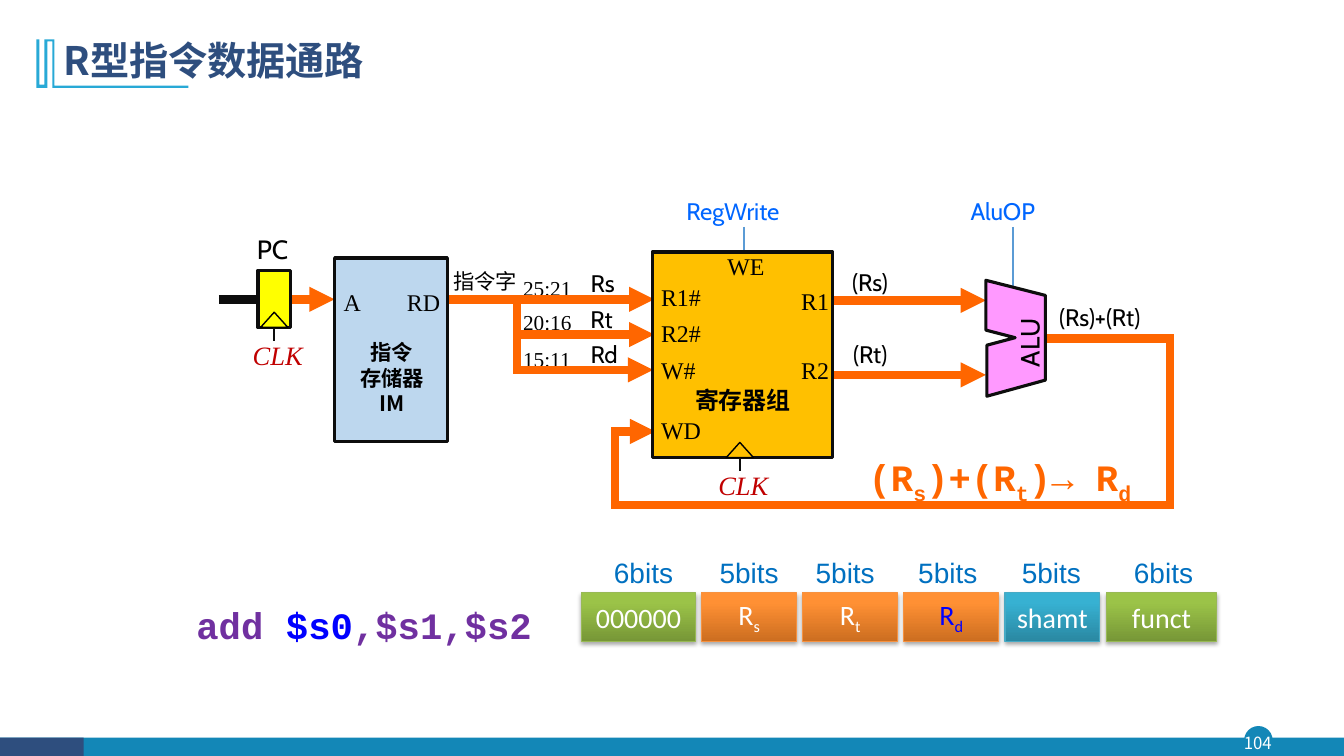
from itertools import pairwise

from lxml.etree import SubElement
from pptx import Presentation
from pptx.dml.color import RGBColor
from pptx.enum.shapes import MSO_CONNECTOR, MSO_SHAPE
from pptx.enum.text import MSO_ANCHOR, MSO_AUTO_SIZE, PP_ALIGN
from pptx.oxml.ns import qn
from pptx.util import Pt

WHITE = RGBColor(0xFF, 0xFF, 0xFF)
BLACK = RGBColor(0, 0, 0)
INK = RGBColor(0x0D, 0x0D, 0x0D)
TEAL = RGBColor(0x13, 0x87, 0xB7)
NAVY = RGBColor(0x2E, 0x4E, 0x7E)
SKY = RGBColor(0x28, 0xA9, 0xD6)
ORANGE = RGBColor(0xFF, 0x66, 0x00)
YELLOW = RGBColor(0xFF, 0xFF, 0x00)
AMBER = RGBColor(0xFF, 0xC0, 0x00)
PALE_BLUE = RGBColor(0xBD, 0xD7, 0xEE)
PINK = RGBColor(0xFF, 0x99, 0xFF)
CLOCK_RED = RGBColor(0xC0, 0x00, 0x00)
CONTROL_BLUE = RGBColor(0x00, 0x66, 0xFF)
CONTROL_LINE = RGBColor(0x5B, 0x9B, 0xD5)
BITS_BLUE = RGBColor(0x00, 0x70, 0xC0)
PURE_BLUE = RGBColor(0x00, 0x00, 0xFF)
PURPLE = RGBColor(0x70, 0x30, 0xA0)
GREEN_CELL = (RGBColor(0x77, 0x97, 0x37), RGBColor(0x9B, 0xC3, 0x48), RGBColor(0x98, 0xB9, 0x55))
ORANGE_CELL = (RGBColor(0xCC, 0x6E, 0x20), RGBColor(0xFF, 0x90, 0x34), RGBColor(0xF6, 0x92, 0x40))
TEAL_CELL = (RGBColor(0x2A, 0x88, 0xA2), RGBColor(0x37, 0xB1, 0xD2), RGBColor(0x46, 0xAA, 0xC5))

CJK = "Noto Sans CJK SC"
TITLE = {"name": CJK, "size": Pt(28), "bold": True}
PAGE = {"name": CJK, "size": Pt(12)}
UNIT = {"name": CJK, "size": Pt(17.1), "bold": True}
MEMORY = {"name": CJK, "size": Pt(15.2), "bold": True}
WORD = {"name": CJK, "size": Pt(15.2)}
PIN = {"name": "Times New Roman", "size": Pt(17.1)}
RANGE = {"name": "Times New Roman", "size": Pt(15.2)}
CLOCK = {"name": "Times New Roman", "size": Pt(18.9), "italic": True}
BIG = {"name": "Cabin", "size": Pt(18.9)}
SIGNAL = {"name": "Cabin", "size": Pt(17.1)}
CODE = {"name": "Courier New", "size": Pt(26.6), "bold": True}
FIELD = {"name": "Calibri", "size": Pt(20)}
BITS = {"name": "Arial", "size": Pt(20)}


def write(paragraph, runs, style):
    """Add (text, colour, is_subscript) runs in one style."""
    for words, colour, is_subscript in runs:
        run = paragraph.add_run()
        run.text = words
        for key, value in style.items():
            setattr(run.font, key, value)
        run.font.color.rgb = colour
        properties = run._r.get_or_add_rPr()
        SubElement(properties, qn("a:ea")).set("typeface", style["name"])
        if is_subscript:
            properties.set("baseline", "-25000")


def label(slide, box, lines, style, colour=BLACK, align=PP_ALIGN.LEFT, spacing=None, **frame_values):
    """Place text, given as a string or as lists of runs, in a box."""
    if isinstance(lines, str):
        lines = [[(line, colour, False)] for line in lines.split("\n")]
    holder = slide.shapes.add_textbox(*map(Pt, box))
    frame = holder.text_frame
    values = {"word_wrap": False, "auto_size": MSO_AUTO_SIZE.SHAPE_TO_FIT_TEXT} | frame_values
    for key, value in values.items():
        setattr(frame, key, value)
    for index, runs in enumerate(lines):
        paragraph = frame.add_paragraph() if index else frame.paragraphs[0]
        paragraph.alignment = align
        paragraph.line_spacing = spacing
        write(paragraph, runs, style)
    return holder


def paint(shape, fill, line=None, weight=2.25):
    """Give a shape a flat fill and an optional outline."""
    shape.shadow.inherit = False
    shape.fill.solid()
    shape.fill.fore_color.rgb = fill
    if line is None:
        shape.line.fill.background()
    else:
        shape.line.color.rgb = line
        shape.line.width = Pt(weight)


def block(slide, kind, box, fill, line=None, weight=2.25):
    """Draw a painted preset shape."""
    paint(slide.shapes.add_shape(kind, *map(Pt, box)), fill, line, weight)


def outline(slide, left, top, points, fill, line=None):
    """Draw a closed freeform from offsets to a corner."""
    corners = [(Pt(left + x), Pt(top + y)) for x, y in points]
    builder = slide.shapes.build_freeform(*corners[0])
    builder.add_line_segments(corners[1:])
    paint(builder.convert_to_shape(), fill, line)


def wire(slide, points, colour=ORANGE, weight=6, arrow=False):
    """Join points with straight lines, the last one with an optional arrowhead."""
    segments = list(pairwise(points))
    for index, (start, end) in enumerate(segments):
        segment = slide.shapes.add_connector(MSO_CONNECTOR.STRAIGHT, *map(Pt, start + end))
        segment.line.color.rgb = colour
        segment.line.width = Pt(weight)
        SubElement(segment._element.spPr, qn("a:effectLst"))
        stroke = segment.line._get_or_add_ln()
        if arrow and index == len(segments) - 1:
            SubElement(stroke, qn("a:tailEnd")).set("type", "triangle")
        elif colour == ORANGE:
            stroke.set("cap", "sq")


def header(slide, left, top):
    """Draw the title with its corner mark."""
    mark = [(13, 0), (13, 33.1), (108.7, 33.1), (108.7, 34.6), (11.5, 34.6), (11.5, 1.4), (7.9, 1.4),
            (7.9, 34.6), (0, 34.6), (0, 0), (2.2, 0), (2.2, 32.4), (5.8, 32.4), (5.8, 0)]
    outline(slide, left, top, mark, SKY)
    label(slide, (left + 12.3, top - 7.9, 828, 49), "R型指令数据通路", TITLE, NAVY, spacing=0.9,
          word_wrap=True, auto_size=MSO_AUTO_SIZE.NONE, vertical_anchor=MSO_ANCHOR.MIDDLE)


def footer(slide, top, width):
    """Draw the bottom bar and the page number."""
    block(slide, MSO_SHAPE.OVAL, (889.2, top - 7.9, 19.4, 19.4), TEAL, TEAL, 1)
    block(slide, MSO_SHAPE.RECTANGLE, (0, top, width, 13.5), TEAL)
    block(slide, MSO_SHAPE.RECTANGLE, (0, top, 59.8, 13.5), NAVY)
    margins = dict.fromkeys(("margin_left", "margin_right", "margin_top", "margin_bottom"), 0)
    label(slide, (887, top - 7.9, 23, 22.3), "104", PAGE, WHITE, PP_ALIGN.CENTER,
          auto_size=MSO_AUTO_SIZE.NONE, vertical_anchor=MSO_ANCHOR.MIDDLE, **margins)


def clock(slide, centre, bottom, fill):
    """Draw a clock input on the lower edge of a block."""
    block(slide, MSO_SHAPE.ISOSCELES_TRIANGLE, (centre - 9.7, bottom - 11, 19.4, 10.8), fill, BLACK, 1)
    wire(slide, [(centre, bottom), (centre, bottom + 9.4)], INK, 1.5)
    label(slide, (centre - 22.5, bottom + 4.7, 50.4, 30), "CLK", CLOCK, CLOCK_RED)


def program_counter(slide, left, top):
    """Draw the program counter."""
    label(slide, (left - 7.9, top - 30.3, 38.9, 30), "PC", BIG)
    block(slide, MSO_SHAPE.RECTANGLE, (left, top, 23, 41), YELLOW, INK)
    clock(slide, left + 11.6, top + 41, YELLOW)


def instruction_memory(slide, left, top):
    """Draw the instruction memory."""
    block(slide, MSO_SHAPE.RECTANGLE, (left, top, 80.6, 131), PALE_BLUE, INK)
    label(slide, (left - 0.7, top + 17.3, 27.4, 28), "A", PIN)
    label(slide, (left + 44.6, top + 17.3, 38.9, 28), "RD", PIN)
    label(slide, (left + 10.8, top + 54.7, 60.5, 62.6), "指令\n存储器\nIM", MEMORY,
          align=PP_ALIGN.CENTER, spacing=Pt(18.2))


def register_file(slide, left, top):
    """Draw the register file with its ports."""
    block(slide, MSO_SHAPE.RECTANGLE, (left, top, 129, 147), AMBER, INK)
    ports = [("R1#", -0.7, 18, 43.2), ("R2#", -0.7, 43.9, 43.2), ("W#", -0.7, 70.6, 39.6),
             ("WD", -0.7, 113, 43.2), ("WE", 46.8, -3.6, 41), ("R1", 99.4, 20.9, 34.6),
             ("R2", 99.4, 70.6, 34.6)]
    for port, x, y, width in ports:
        label(slide, (left + x, top + y, width, 28), port, PIN)
    label(slide, (left + 23, top + 92.2, 83.5, 28), "寄存器组", UNIT,
          align=PP_ALIGN.CENTER, spacing=Pt(20.5))
    clock(slide, left + 62.7, top + 147, AMBER)


def alu(slide, left, top):
    """Draw the arithmetic unit."""
    notched = [(0, 0), (0, 35.6), (20.9, 41), (0.7, 46.4), (0.7, 82.8), (42.5, 71.3), (42.5, 10.8)]
    outline(slide, left, top, notched, PINK, INK)
    label(slide, (left + 4.3, top + 27.4, 53.3, 30), "ALU", BIG).rotation = 270


def signals(slide, left, top):
    """Draw the labels and wires between the units."""
    texts = [("指令字", 158.4, 51.1, 60.5, WORD, BLACK), ("25:21", 208.1, 56.2, 49.7, RANGE, BLACK),
             ("20:16", 208.1, 80.6, 49.7, RANGE, BLACK), ("15:11", 208.1, 106.6, 49.7, RANGE, BLACK),
             ("Rs", 256.3, 51.8, 34.6, SIGNAL, BLACK), ("Rt", 256.3, 77, 33.1, SIGNAL, BLACK),
             ("Rd", 256.3, 102.2, 37.4, SIGNAL, BLACK), ("(Rs)", 443.2, 51.1, 47.5, SIGNAL, BLACK),
             ("(Rt)", 443.9, 102.2, 47.5, SIGNAL, BLACK), ("(Rs)+(Rt)", 591.1, 75.6, 95, SIGNAL, BLACK),
             ("RegWrite", 324.7, 0, 95, SIGNAL, CONTROL_BLUE), ("AluOP", 527.8, 0, 67.7, SIGNAL, CONTROL_BLUE)]
    for words, x, y, width, style, colour in texts:
        label(slide, (left + x, top + y, width, 26), words, style, colour,
              spacing=Pt(18.2) if style is WORD else None)
    for x, length in ((373, 22.3), (565.2, 43.2)):
        wire(slide, [(left + x, top + 25.2), (left + x, top + 25.2 + length)], CONTROL_LINE, 2)
    wire(slide, [(left - 2, top + 77), (left + 26, top + 77)], INK)
    wire(slide, [(left - 2, top + 77), (left + 26, top + 77)], INK, 2.25)
    routes = [[(49.7, 77), (80.6, 77)], [(161.3, 77), (212, 77), (309, 77)],
              [(211, 77), (211, 127.4), (308.2, 127.4)], [(212.4, 102.2), (309, 102.2)],
              [(433.4, 77.8), (545.8, 77.8)], [(433.4, 131), (545.8, 131)],
              [(592, 105.1), (677.5, 105.1), (677.5, 224), (280.8, 224), (280.8, 171.4), (309.6, 171.4)]]
    for route in routes:
        wire(slide, [(left + x, top + y) for x, y in route], arrow=True)


def code_line(slide, left, top, width, runs):
    """Write one line of monospaced runs."""
    label(slide, (left, top, width, 43.2), [runs], CODE, spacing=1.2,
          word_wrap=True, auto_size=MSO_AUTO_SIZE.NONE)


def instruction_format(slide, left, top):
    """Draw the six instruction fields with their bit widths."""
    fields = [("000000", "", "6bits", 81.4, 3.6, GREEN_CELL, WHITE), ("R", "s", "5bits", 67.7, 0, ORANGE_CELL, WHITE),
              ("R", "t", "5bits", 67.7, -3.6, ORANGE_CELL, WHITE), ("R", "d", "5bits", 67.7, -2.5, ORANGE_CELL, PURE_BLUE),
              ("shamt", "", "5bits", 67.7, -0.7, TEAL_CELL, WHITE), ("funct", "", "6bits", 79.2, 1.4, GREEN_CELL, WHITE)]
    for name, subscript, bits, width, shift, (dark, light, edge), colour in fields:
        cell = slide.shapes.add_shape(MSO_SHAPE.RECTANGLE, *map(Pt, (left, top, width, 34.6)))
        cell.fill.gradient()
        cell.fill.gradient_angle = 90
        for stop, shade, position in zip(cell.fill.gradient_stops, (dark, light), (0, 0.8)):
            stop.color.rgb = shade
            stop.position = position
        cell.line.color.rgb = edge
        cell.line.width = Pt(0.75)
        cell.shadow.inherit = False
        effects = cell._element.spPr.find(qn("a:effectLst"))
        shadow = SubElement(effects, qn("a:outerShdw"), blurRad="40000", dist="23000", dir="5400000", rotWithShape="0")
        black = SubElement(shadow, qn("a:srgbClr"), val="000000")
        SubElement(black, qn("a:alpha"), val="35000")
        cell.text_frame.vertical_anchor = MSO_ANCHOR.MIDDLE
        paragraph = cell.text_frame.paragraphs[0]
        paragraph.alignment = PP_ALIGN.CENTER
        write(paragraph, [run for run in ((name, colour, False), (subscript, colour, True)) if run[0]], FIELD)
        label(slide, (left + width / 2 + shift - 35, top - 30.2, 70, 32.4), bits, BITS, BITS_BLUE,
              PP_ALIGN.CENTER, word_wrap=True)
        left += width + 4.5


def main():
    """Build the slide and save it."""
    deck = Presentation()
    deck.slide_width, deck.slide_height = Pt(960), Pt(540)
    slide = deck.slides.add_slide(deck.slide_layouts[6])
    footer(slide, 527, 960)
    header(slide, 25.9, 28.1)
    signals(slide, 158.4, 136.8)
    program_counter(slide, 184.3, 193)
    instruction_memory(slide, 239, 184.3)
    register_file(slide, 465.8, 180)
    alu(slide, 704.2, 200.2)
    code_line(slide, 133.2, 420.5, 265.7,
              [("add ", PURPLE, False), ("$s0", PURE_BLUE, False), (",$s1,$s2", PURPLE, False)])
    code_line(slide, 613.4, 313.9, 228.2,
              [("(R", ORANGE, False), ("s", ORANGE, True), (")+(R", ORANGE, False), ("t", ORANGE, True),
               (")→ R", ORANGE, False), ("d", ORANGE, True)])
    instruction_format(slide, 415.4, 423.4)
    deck.save("out.pptx")


if __name__ == "__main__":
    main()
